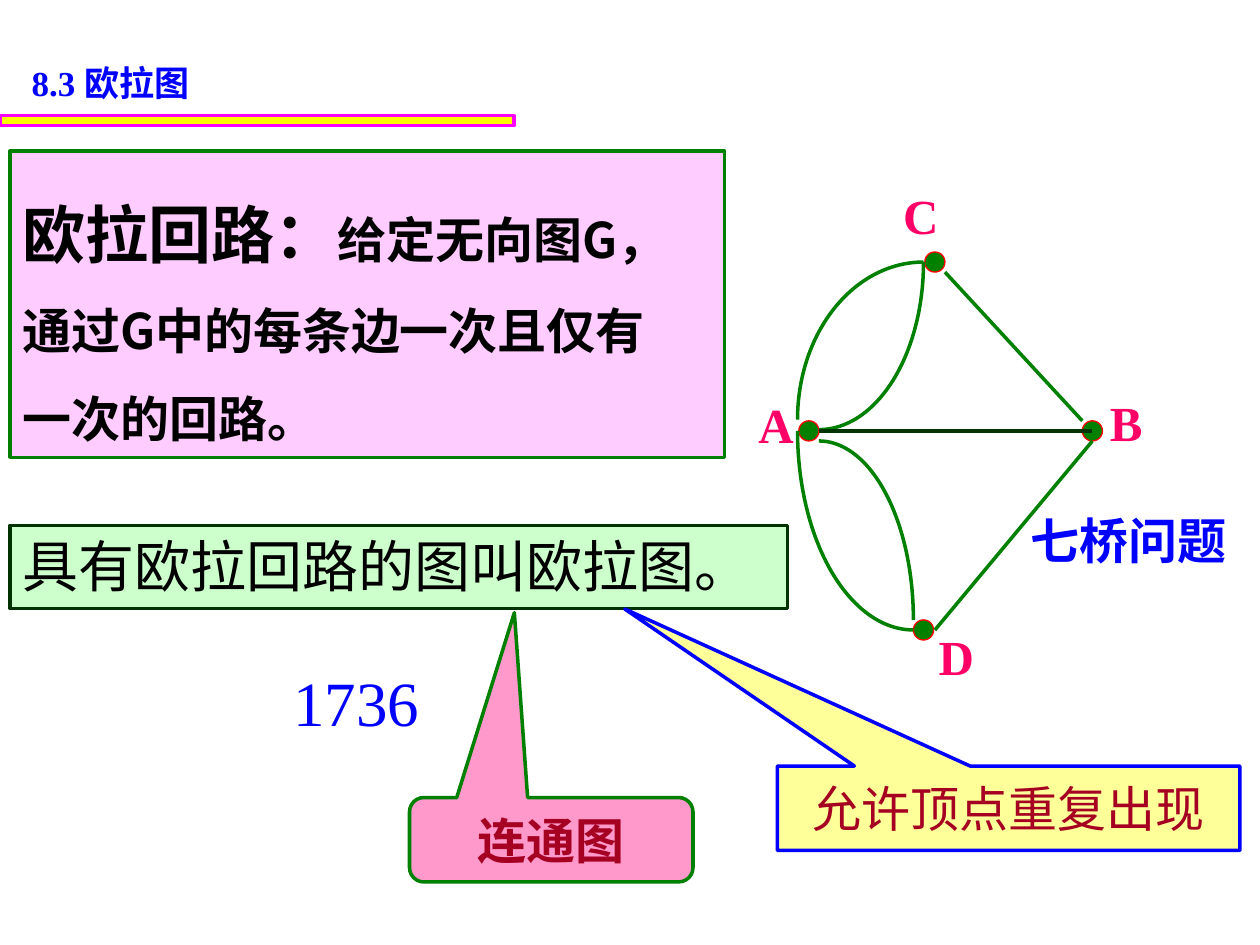
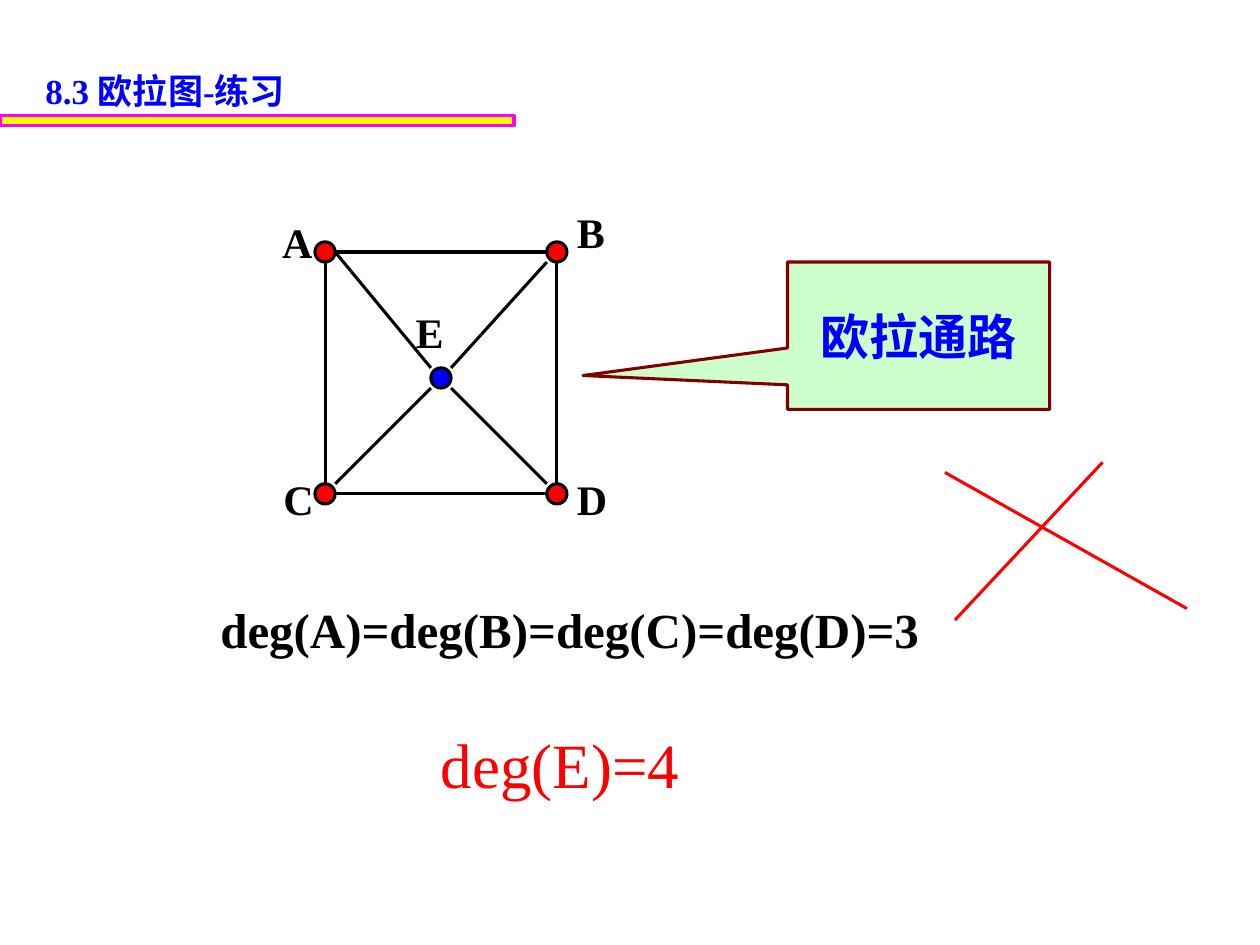
from dataclasses import dataclass

from lxml import etree
from pptx import Presentation
from pptx import util as u
from pptx.dml.color import RGBColor
from pptx.enum import shapes, text
from pptx.oxml.ns import qn

SHAPE = shapes.MSO_SHAPE
ALIGN = text.PP_ALIGN
ANCHOR = text.MSO_ANCHOR


@dataclass(frozen=True)
class Theme:
    black: str = "000000"
    blue: str = "0000FF"
    red: str = "FF0000"
    yellow: str = "FFFF00"
    magenta: str = "FF00FF"
    green: str = "008000"
    dark_green: str = "003300"
    mint: str = "CCFFCC"
    lilac: str = "FFCCFF"
    pink: str = "FF99CC"
    cream: str = "FFFF99"
    crimson: str = "A50021"
    rose: str = "FF0066"
    maroon: str = "800000"
    serif: str = "Times New Roman"
    sans: str = "Arial"
    chinese: str = "Noto Sans CJK SC"
    title_size: int = 20
    vertex_size: int = 24
    body_size: int = 28
    statement_size: int = 32
    large_size: int = 36
    node_line: float = 0.75
    thin: float = 1.75
    thick: float = 2


THEME = Theme()
RADIUS = 0.08


def rgb(value):
    return RGBColor.from_string(value)


def box(left, top, width, height):
    return [u.Inches(v) for v in (left, top, width, height)]


def style_paragraph(paragraph, size, color, bold=False, face=THEME.sans, align=ALIGN.LEFT):
    paragraph.alignment = align
    font = paragraph.font
    font.size = u.Pt(size)
    font.bold = bold
    font.color.rgb = rgb(color)
    font.name = face
    etree.SubElement(font._rPr, qn("a:ea")).set("typeface", THEME.chinese)


def write(frame, lines, size, color, anchor=ANCHOR.TOP, spacing=None, **style):
    """Fill a text frame with one paragraph per line, all in one style."""
    frame.word_wrap = True
    frame.auto_size = text.MSO_AUTO_SIZE.NONE
    frame.vertical_anchor = anchor
    frame.text = "\n".join(lines)
    for paragraph in frame.paragraphs:
        style_paragraph(paragraph, size, color, **style)
        if spacing:
            paragraph.line_spacing = spacing


def outline(shape, fill, line, width):
    if fill:
        shape.fill.solid()
        shape.fill.fore_color.rgb = rgb(fill)
    else:
        shape.fill.background()
    shape.line.color.rgb = rgb(line)
    shape.line.width = u.Pt(width)


def add_figure(slide, kind, place, fill, line, width):
    figure = slide.shapes.add_shape(kind, *box(*place))
    figure.shadow.inherit = False
    outline(figure, fill, line, width)
    return figure


def add_text(slide, place, lines, size, color, **style):
    label = slide.shapes.add_textbox(*box(*place))
    write(label.text_frame, lines, size, color, **style)
    return label


def add_callout(slide, kind, place, pointer, words, fill, line, width, color, bold=True):
    callout = add_figure(slide, kind, place, fill, line, width)
    for index, value in enumerate(pointer):
        callout.adjustments[index] = value
    write(callout.text_frame, [words], THEME.body_size, color,
          anchor=ANCHOR.MIDDLE, bold=bold, align=ALIGN.CENTER)


def add_node(slide, center, fill, line, width):
    x, y = center
    place = (x - RADIUS, y - RADIUS, 2 * RADIUS, 2 * RADIUS)
    add_figure(slide, SHAPE.OVAL, place, fill, line, width)


def add_line(slide, start, end, color, width):
    line = slide.shapes.add_connector(
        shapes.MSO_CONNECTOR.STRAIGHT, *[u.Inches(v) for v in (*start, *end)])
    line.line.color.rgb = rgb(color)
    line.line.width = u.Pt(width)
    etree.SubElement(line._element.spPr, qn("a:effectLst"))


def node_side(center, other):
    """Point on the box around a node that faces another node."""
    return tuple(c + RADIUS * ((o > c) - (o < c)) for c, o in zip(center, other))


def add_quarter_arc(slide, center, radii, start_degrees):
    (x, y), (rx, ry) = center, radii
    arc = add_figure(slide, SHAPE.ARC, (x - rx, y - ry, 2 * rx, 2 * ry),
                     None, THEME.green, THEME.thick)
    # Angles are stored in 60000ths of a degree, adjustments in 100000ths.
    arc.adjustments[0] = start_degrees * 0.6
    arc.adjustments[1] = (start_degrees + 90) % 360 * 0.6


def start_slide(deck, heading, left, top):
    slide = deck.slides.add_slide(deck.slide_layouts[5])
    title = slide.shapes.title
    title.left, title.top, title.width, title.height = box(left, top, 3.02, 0.43)
    write(title.text_frame, [heading], THEME.title_size, THEME.blue,
          bold=True, face=THEME.serif)
    add_figure(slide, SHAPE.RECTANGLE, (0, 0.92, 4.08, 0.08),
               THEME.yellow, THEME.magenta, THEME.thin)
    return slide


def draw_seven_bridges(slide):
    land = {"A": (6.42, 3.42), "B": (8.67, 3.42), "C": (7.42, 2.08), "D": (7.33, 5)}
    label_corners = {"A": (5.92, 3.08), "B": (8.71, 3.07), "C": (7.07, 1.42), "D": (7.35, 4.92)}
    for name, center in land.items():
        add_node(slide, center, THEME.green, THEME.red, THEME.node_line)
        add_text(slide, (*label_corners[name], 0.48, 0.57), [name], THEME.body_size,
                 THEME.rose, bold=True, face=THEME.serif)

    add_line(slide, node_side(land["B"], land["C"]), node_side(land["C"], land["B"]),
             THEME.green, THEME.thick)
    add_line(slide, (7.42, 5), (8.67, 3.5), THEME.green, THEME.thick)
    for center, radii, start in [
        ((7.33, 3.33), (1, 1.25), 180),
        ((6.5, 4.92), (0.75, 1.42), 270),
        ((6.5, 2.08), (0.83, 1.33), 0),
        ((7.25, 3.42), (0.92, 1.58), 90),
    ]:
        add_quarter_arc(slide, center, radii, start)
    add_line(slide, (6.5, 3.42), land["B"], THEME.dark_green, THEME.thick)


def build_definition(deck):
    slide = start_slide(deck, "8.3 欧拉图", 0.15, 0.44)
    draw_seven_bridges(slide)
    add_text(slide, (8.08, 4, 1.92, 0.57), ["七桥问题"], THEME.body_size, THEME.blue, bold=True)

    definition = add_text(
        slide, (0.08, 1.2, 5.67, 2.43),
        ["", "通过G中的每条边一次且仅有", "一次的回路。"],
        THEME.body_size, THEME.black, bold=True, face=THEME.chinese, spacing=1.5)
    outline(definition, THEME.lilac, THEME.green, THEME.thick)
    opening = definition.text_frame.paragraphs[0]
    term = opening.add_run()
    term.text = "欧拉回路："
    term.font.size = u.Pt(THEME.large_size)
    opening.add_run().text = "给定无向图G，"

    statement = add_text(slide, (0.08, 4.17, 6.17, 0.66), ["具有欧拉回路的图叫欧拉图。"],
                         THEME.statement_size, THEME.black, face=THEME.chinese)
    outline(statement, THEME.mint, THEME.dark_green, THEME.thick)
    add_text(slide, (2.23, 5.22, 1.93, 0.7), ["1736"], THEME.large_size, THEME.blue,
             face=THEME.serif)

    add_callout(slide, SHAPE.ROUNDED_RECTANGULAR_CALLOUT, (3.25, 6.33, 2.25, 0.67),
                (-0.13, -2.69, 0.17), "连通图",
                THEME.pink, THEME.green, THEME.thick, THEME.crimson)
    add_callout(slide, SHAPE.RECTANGULAR_CALLOUT, (6.17, 6.08, 3.67, 0.67),
                (-0.83, -2.36), "允许顶点重复出现",
                THEME.cream, THEME.blue, THEME.thick, THEME.crimson, bold=False)


def draw_square_graph(slide):
    left, right, top, bottom = 2.58, 4.42, 2, 3.92
    vertices = {"A": (left, top), "B": (right, top), "C": (left, bottom),
                "D": (right, bottom), "E": (3.5, 3)}
    label_corners = {"A": (2.14, 1.67), "B": (4.48, 1.59), "C": (2.15, 3.71),
                     "D": (4.48, 3.71), "E": (3.2, 2.38)}
    for name, center in vertices.items():
        fill = THEME.blue if name == "E" else THEME.red
        add_node(slide, center, fill, THEME.black, THEME.thin)
        add_text(slide, (*label_corners[name], 0.44, 0.5), [name], THEME.vertex_size,
                 THEME.black, bold=True, face=THEME.serif)

    for first, second in ("AB", "AC", "CD", "BD", "ED", "CE", "EB"):
        start, end = vertices[first], vertices[second]
        add_line(slide, node_side(start, end), node_side(end, start), THEME.black, THEME.thin)
    add_line(slide, (left + RADIUS, top), node_side(vertices["E"], vertices["A"]),
             THEME.black, THEME.thin)


def build_exercise(deck):
    slide = start_slide(deck, "8.3 欧拉图-练习", 0.26, 0.5)
    draw_square_graph(slide)
    add_callout(slide, SHAPE.RECTANGULAR_CALLOUT, (6.25, 2.08, 2.08, 1.17),
                (-1.28, 0.27), "欧拉通路",
                THEME.mint, THEME.maroon, THEME.thin, THEME.blue)
    add_text(slide, (1.65, 4.71, 7.35, 0.57), ["deg(A)=deg(B)=deg(C)=deg(D)=3"],
             THEME.body_size, THEME.black, bold=True, face=THEME.serif)
    add_text(slide, (3.4, 5.71, 3.35, 0.7), ["deg(E)=4"],
             THEME.large_size, THEME.red, face=THEME.serif)
    for start, end in [((7.5, 3.75), (9.42, 4.83)), ((7.58, 4.92), (8.75, 3.67))]:
        add_line(slide, start, end, THEME.red, THEME.thin)


def main():
    deck = Presentation()
    deck.slide_width, deck.slide_height = u.Inches(10), u.Inches(7.5)
    build_definition(deck)
    build_exercise(deck)
    deck.save("out.pptx")


if __name__ == "__main__":
    main()
